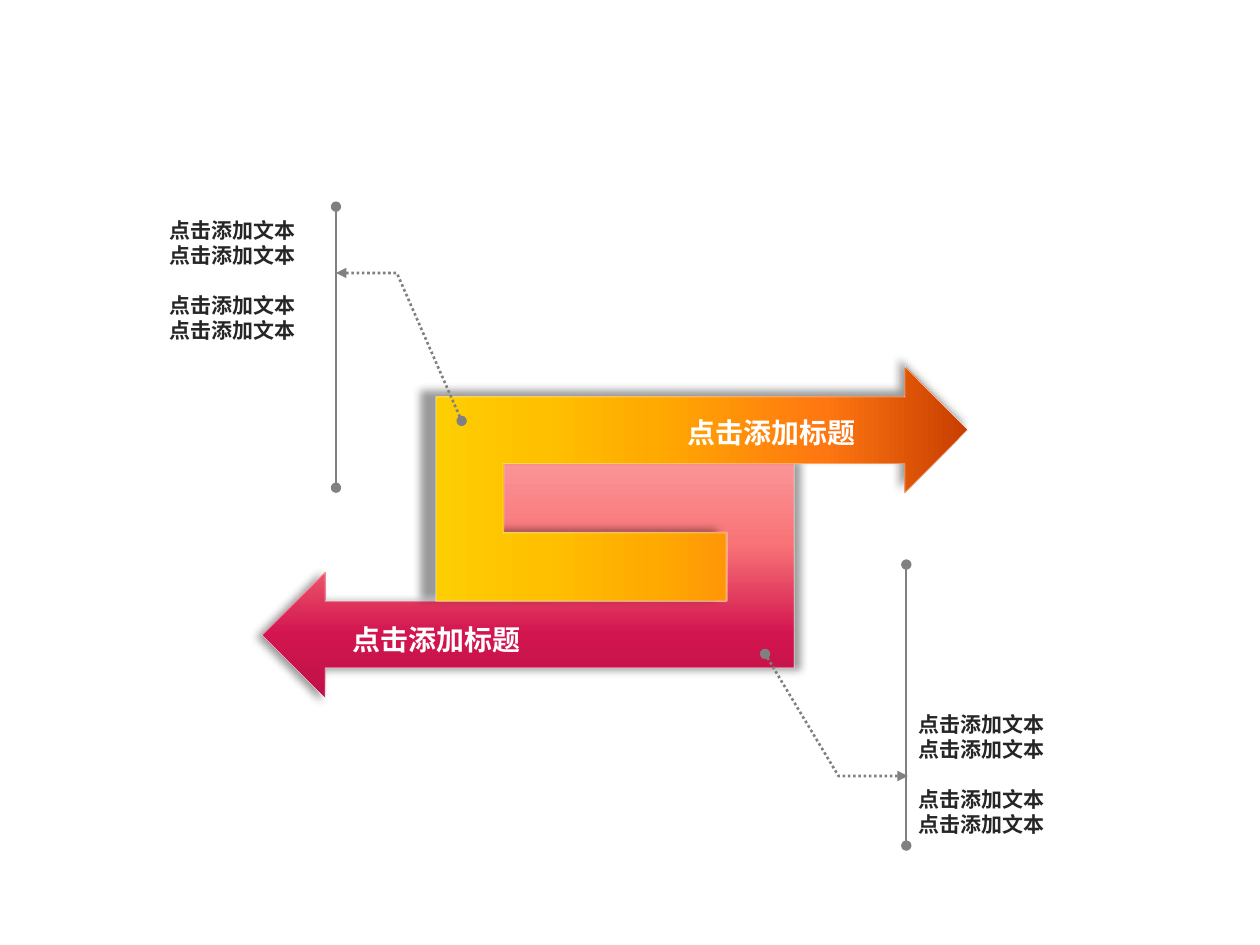
import pptx
import pptx.util
import pptx.dml.color
import pptx.enum.dml
import pptx.enum.shapes
import pptx.enum.text
import pptx.oxml.ns
import lxml.etree

Pt = pptx.util.Pt
qn = pptx.oxml.ns.qn
FONT = "Noto Sans CJK SC"


def rgb(value):
    return pptx.dml.color.RGBColor.from_string(value)


def add_text(left, top, width, height, text, size, color, align, margin_right):
    s = slide.shapes.add_textbox(Pt(left), Pt(top), Pt(width), Pt(height))
    tf = s.text_frame
    tf.text = text
    tf.word_wrap = True
    tf.margin_top = Pt(3.6 + 0.08 * size)
    tf.margin_right = Pt(margin_right)
    for p in tf.paragraphs:
        p.alignment = align
        p.line_spacing = Pt(1.2 * size)
        for r in p.runs:
            r.font.size = Pt(size)
            r.font.bold = True
            r.font.name = FONT
            r.font.color.rgb = rgb(color)
            lxml.etree.SubElement(r.font._element, qn("a:ea"), typeface=FONT)


prs = pptx.Presentation()
prs.slide_width = Pt(720)
prs.slide_height = Pt(540)
slide = prs.slides.add_slide(prs.slide_layouts[6])

arrow_outline = [
    (138.2, 0), (304, 0), (304, 116.7), (36, 116.7), (36, 134), (0, 98),
    (36, 62), (36, 78.5), (265.7, 78.5), (265.7, 39), (138.2, 39),
]
red_stops = [(0, "BE1247"), (27, "D2144F"), (66, "F87477"), (100, "FA9496")]
orange_stops = [(0, "C73E01"), (27, "FF7711"), (59, "FFAA01"), (80, "FFC000"), (100, "FECE02")]
arrows = [
    (149.8, 265, 0, 90, red_stops),
    (249.1, 209.5, 180, 0, orange_stops),
]
for left, top, rotation, angle, stops in arrows:
    points = [(Pt(left + x), Pt(top + y)) for x, y in arrow_outline]
    builder = slide.shapes.build_freeform(*points[0])
    builder.add_line_segments(points[1:], close=True)
    s = builder.convert_to_shape()
    s.rotation = rotation
    s.fill.gradient()
    s.fill.gradient_angle = angle
    stop_list = s._element.spPr.find(".//" + qn("a:gsLst"))
    for old_stop in list(stop_list):
        stop_list.remove(old_stop)
    for position, color in stops:
        stop = lxml.etree.SubElement(stop_list, qn("a:gs"), pos=str(position * 1000))
        lxml.etree.SubElement(stop, qn("a:srgbClr"), val=color)
    s.line.color.rgb = rgb("FFFFFF")
    s.line.width = Pt(0.25)
    s.shadow.inherit = False
    effects = s._element.spPr.find(qn("a:effectLst"))
    shadow = lxml.etree.SubElement(
        effects, qn("a:outerShdw"), blurRad=str(Pt(5)), dist="0", dir="0",
        sx="102000", sy="102000", algn="ctr", rotWithShape="0")
    shadow_color = lxml.etree.SubElement(shadow, qn("a:srgbClr"), val="000000")
    lxml.etree.SubElement(shadow_color, qn("a:alpha"), val="40000")

for left, top in [(377.3, 232.6), (185.8, 350.6)]:
    add_text(left, top, 141.8, 30.2, "点击添加标题", 16, "FFFFFF",
             pptx.enum.text.PP_ALIGN.CENTER, 21.6)

callouts = [
    ([(263.8, 240.5), (226.8, 156), (192, 156)], 192, 118.1, 90, 119.5),
    ([(437.2, 373.7), (479.2, 443.5), (518.8, 443.5)], 517.9, 322.6, 517.9, 401.8),
]
for leader, rule_x, rule_top, text_left, text_top in callouts:
    points = [(Pt(x), Pt(y)) for x, y in leader]
    builder = slide.shapes.build_freeform(*points[0])
    builder.add_line_segments(points[1:], close=False)
    pointer = builder.convert_to_shape()
    pointer.fill.background()
    pointer.shadow.inherit = False
    pointer.line.dash_style = pptx.enum.dml.MSO_LINE.ROUND_DOT
    rule = slide.shapes.add_connector(
        pptx.enum.shapes.MSO_CONNECTOR.STRAIGHT,
        Pt(rule_x), Pt(rule_top), Pt(rule_x), Pt(rule_top + 160.6))
    for s, width, tail in [(pointer, 1.5, "triangle"), (rule, 1, "oval")]:
        s.line.color.rgb = rgb("808080")
        s.line.width = Pt(width)
        ln = s._element.spPr.find(qn("a:ln"))
        lxml.etree.SubElement(ln, qn("a:headEnd"), type="oval")
        lxml.etree.SubElement(ln, qn("a:tailEnd"), type=tail)
    lxml.etree.SubElement(rule._element.spPr, qn("a:effectLst"))
    for row in range(2):
        add_text(text_left, text_top + row * 43.2, 102.2, 41, "点击添加文本\n点击添加文本",
                 12, "262626", pptx.enum.text.PP_ALIGN.LEFT, 7.2)

prs.save("out.pptx")
